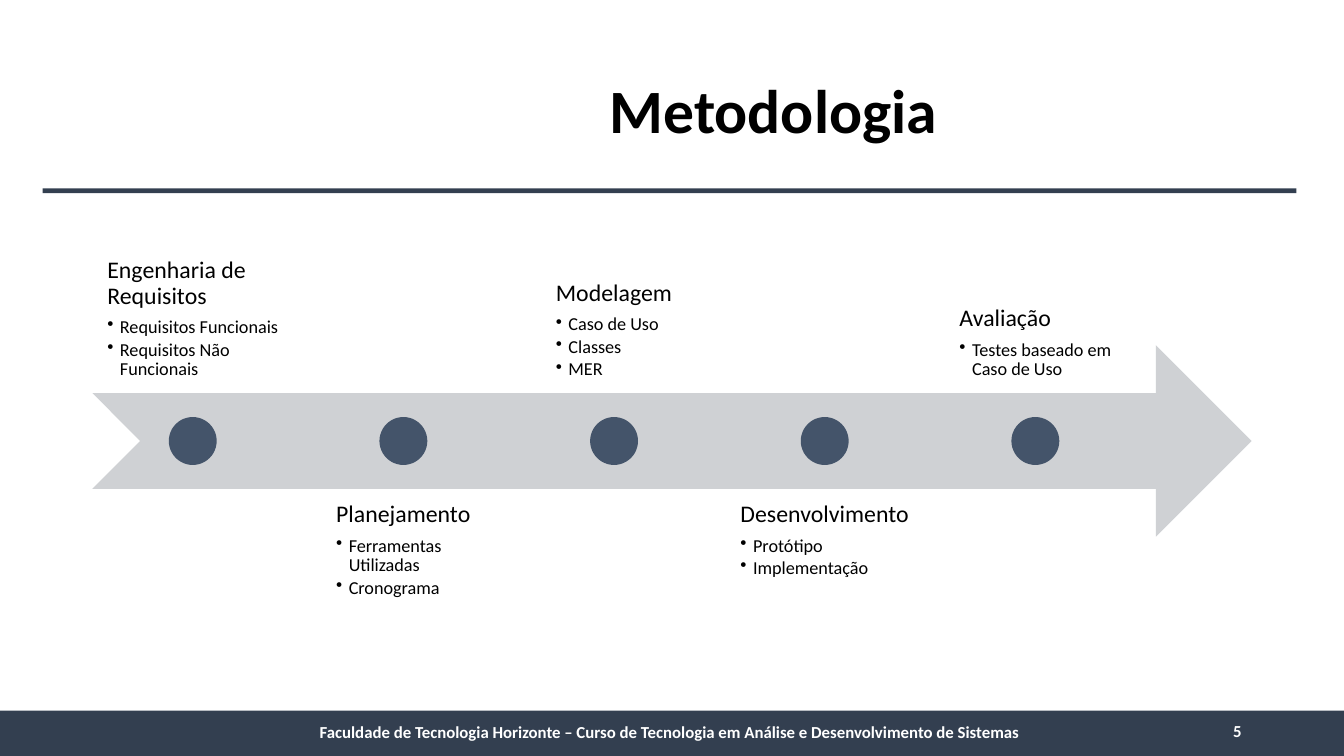
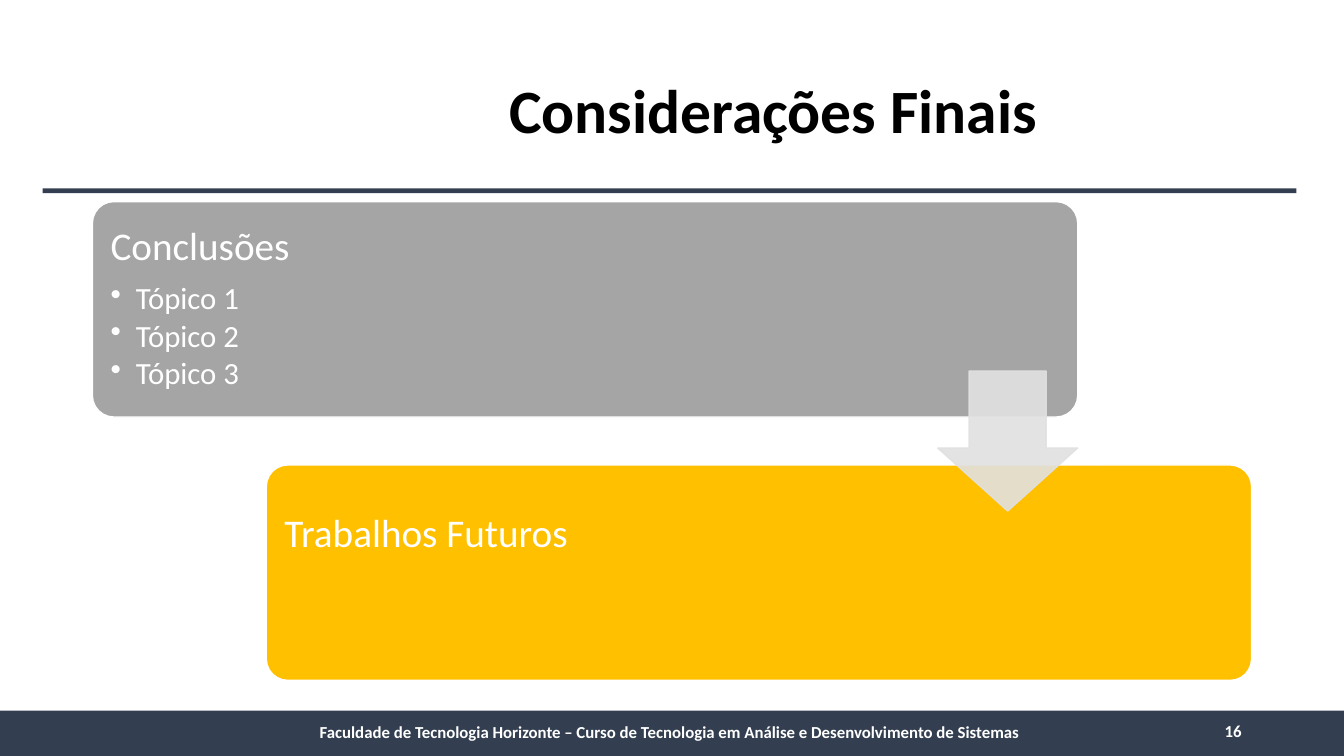
import pptx
import pptx.util
import pptx.dml.color
import pptx.enum.shapes
import pptx.enum.text
import pptx.oxml
import pptx.oxml.ns

Pt = pptx.util.Pt
Shape = pptx.enum.shapes.MSO_SHAPE
Align = pptx.enum.text.PP_ALIGN
Anchor = pptx.enum.text.MSO_ANCHOR

# Shared style
WIDE, HIGH = 960, 540
FONT = "Calibri"
NAVY, SLATE, PALE = "333F50", "44546A", "CFD1D4"
GREY, GOLD, MIST = "A5A5A5", "FFC000", "E1E1E1"
BLACK, WHITE = "000000", "FFFFFF"
BODY = (66, 144, 828, 342)
COURSE = ("Faculdade de Tecnologia Horizonte – Curso de Tecnologia em "
          "Análise e Desenvolvimento de Sistemas")


def color(text):
    return pptx.dml.color.RGBColor.from_string(text)


def fade(fill, share):
    """Make a solid fill partly clear."""
    node = fill._xPr.find(".//" + pptx.oxml.ns.qn("a:srgbClr"))
    tag = f'<a:alpha {pptx.oxml.ns.nsdecls("a")} val="{share * 1000}"/>'
    node.append(pptx.oxml.parse_xml(tag))


def draw(slide, kind, box, fill, line=None):
    shape = slide.shapes.add_shape(kind, *map(Pt, box))
    shape.shadow.inherit = False
    shape.fill.solid()
    shape.fill.fore_color.rgb = color(fill)
    if line:
        shape.line.color.rgb = color(line)
        shape.line.width = Pt(1)
    else:
        shape.line.fill.background()
    return shape


def style(para, size, ink, bold=False, align=Align.LEFT):
    para.alignment = align
    font = para.font
    font.name, font.size, font.bold = FONT, Pt(size), bold
    font.color.rgb = color(ink)


def setup(frame, anchor, inset):
    frame.word_wrap = True
    frame.vertical_anchor = anchor
    frame.margin_left = frame.margin_right = Pt(inset)
    frame.margin_top = frame.margin_bottom = Pt(inset)


def dot(para, indent):
    """Give a paragraph a hanging bullet."""
    props = para._p.get_or_add_pPr()
    props.set("marL", str(Pt(indent)))
    props.set("indent", str(-Pt(indent)))
    tag = f'<a:buChar {pptx.oxml.ns.nsdecls("a")} char="•"/>'
    props.append(pptx.oxml.parse_xml(tag))


def outline(frame, head, items, sizes, indent, ink):
    """Write a heading with bullets under it."""
    for rank, text in enumerate([head, *items]):
        para = frame.add_paragraph() if rank else frame.paragraphs[0]
        para.text = text
        size = sizes[min(rank, 1)]
        para.line_spacing = 0.9
        para.space_after = Pt(round(size * (0.15 if rank else 0.35)))
        if rank:
            para.level = 1
            dot(para, indent)
        style(para, size, ink)


def note(slide, box, text, align):
    """Write one line of the footer."""
    frame = slide.shapes.add_textbox(*map(Pt, box)).text_frame
    frame.word_wrap = True
    frame.vertical_anchor = Anchor.MIDDLE
    para = frame.paragraphs[0]
    para.text = text
    style(para, 12, WHITE, True, align)


def base(deck, head, number):
    """Add a slide with its bands, title and footer."""
    slide = deck.slides.add_slide(deck.slide_layouts[5])
    draw(slide, Shape.RECTANGLE, (0, 507.6, WIDE, HIGH - 507.6), NAVY)
    draw(slide, Shape.RECTANGLE, (30.5, 134.5, 895.5, 3.5), NAVY)

    title = slide.shapes.title
    title.left, title.top = Pt(211), Pt(29)
    title.width, title.height = Pt(683), Pt(104)
    frame = title.text_frame
    frame.text = head
    frame.vertical_anchor = Anchor.MIDDLE
    frame.paragraphs[0].line_spacing = 0.9
    style(frame.paragraphs[0], 44, BLACK, True, Align.CENTER)

    note(slide, (211, 508.5, 535, 29), COURSE, Align.CENTER)
    note(slide, (678, 507.6, 216, 29), str(number), Align.RIGHT)
    return slide


def flow(slide, box, steps):
    """Draw a timeline arrow with labels above and below in turn."""
    left, top, width, height = box
    band = height * 0.4
    draw(slide, Shape.NOTCHED_RIGHT_ARROW,
         (left, top + height * 0.3, width, band), PALE)
    # Labels fill 90% of the width, with gaps of 5% of a label
    count = len(steps)
    wide = width * 0.9 / (count + 0.05 * (count - 1))
    size = band / 4
    for rank, (head, items) in enumerate(steps):
        x = left + rank * wide * 1.05
        below = rank % 2
        y = top + height * 0.6 * below
        label = slide.shapes.add_textbox(*map(Pt, (x, y, wide, band)))
        frame = label.text_frame
        setup(frame, Anchor.TOP if below else Anchor.BOTTOM, 9.5)
        frame._txBody.bodyPr.set("anchorCtr", "1")
        outline(frame, head, items, (17, 13), 9, BLACK)
        draw(slide, Shape.OVAL,
             (x + (wide - size) / 2, top + (height - size) / 2, size, size),
             SLATE)


def stairs(slide, box, cards):
    """Draw two stepped cards joined by a down arrow."""
    left, top, width, height = box
    wide, high = width * 0.85, height * 0.45
    for rank, (head, items, fill, foot) in enumerate(cards):
        place = (left + rank * (width - wide),
                 top + rank * (height - high), wide, high)
        card = draw(slide, Shape.ROUNDED_RECTANGLE, place, fill, WHITE)
        card.adjustments[0] = 0.1
        setup(card.text_frame, Anchor.MIDDLE, 8.5)
        card.text_frame.margin_bottom = Pt(foot)
        outline(card.text_frame, head, items, (28, 22), 18, WHITE)

    size = high * 0.65
    arrow = draw(slide, Shape.DOWN_ARROW,
                 (left + wide - size, top + (height - size) / 2, size, size),
                 MIST, MIST)
    arrow.adjustments[0], arrow.adjustments[1] = 0.55, 0.45
    fade(arrow.fill, 90)
    fade(arrow.line.fill, 90)


def main():
    deck = pptx.Presentation()
    deck.slide_width, deck.slide_height = Pt(WIDE), Pt(HIGH)

    flow(base(deck, "Metodologia", 5), BODY, [
        ("Engenharia de Requisitos",
         ["Requisitos Funcionais", "Requisitos Não Funcionais"]),
        ("Planejamento", ["Ferramentas Utilizadas", "Cronograma"]),
        ("Modelagem", ["Caso de Uso", "Classes", "MER"]),
        ("Desenvolvimento", ["Protótipo", "Implementação"]),
        ("Avaliação", ["Testes baseado em Caso de Uso"]),
    ])
    stairs(base(deck, "Considerações Finais", 16), BODY, [
        ("Conclusões", ["Tópico 1", "Tópico 2", "Tópico 3"], GREY, 8.5),
        ("Trabalhos Futuros", [], GOLD, 62),
    ])
    deck.save("out.pptx")


if __name__ == "__main__":
    main()
